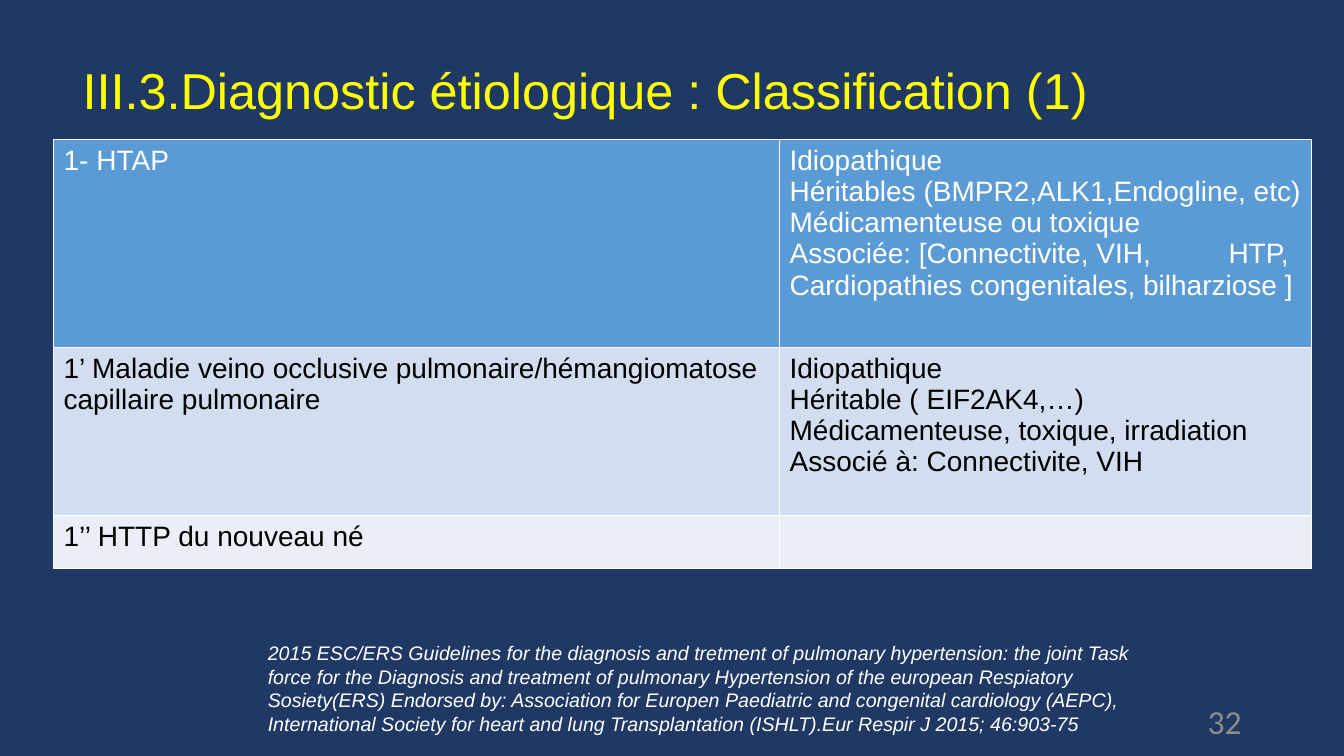
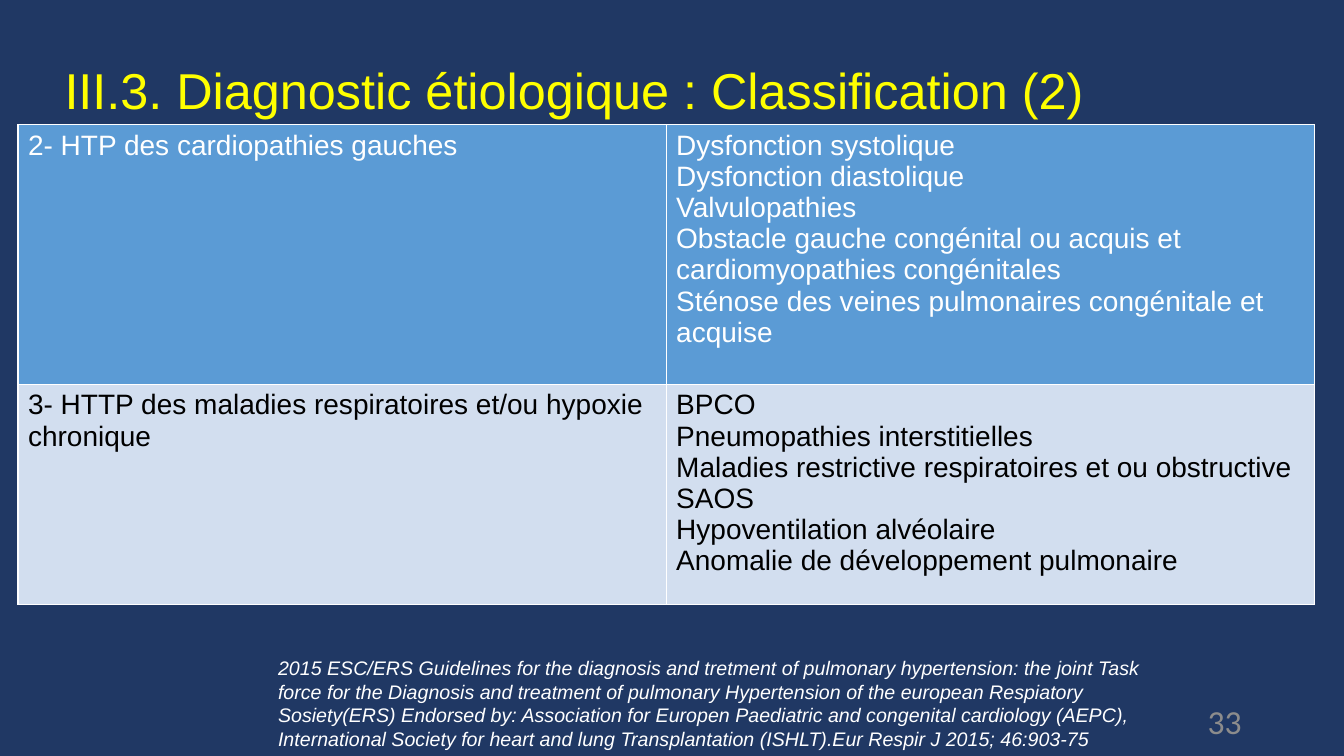
from dataclasses import dataclass

from lxml.etree import SubElement
from pptx import Presentation
from pptx.dml.color import RGBColor
from pptx.enum.text import MSO_ANCHOR, PP_ALIGN
from pptx.oxml.ns import qn
from pptx.util import Pt


@dataclass(frozen=True)
class Theme:
    bg: str = "203864"
    title: str = "FFFF00"
    number: str = "8C8C8C"
    light: str = "FFFFFF"
    dark: str = "000000"
    row_fills: tuple = ("5B9BD5", "D2DEEF", "EAEFF7")
    font: str = "Arial"
    number_font: str = "Calibri"
    title_size: int = 36
    number_size: int = 24
    table_size: int = 20
    reference_size: int = 14
    border: int = 1


THEME = Theme()

REFERENCE = (
    "2015 ESC/ERS Guidelines for the diagnosis and tretment of pulmonary hypertension: "
    "the joint Task force for the Diagnosis and treatment of pulmonary Hypertension of "
    "the european Respiatory Sosiety(ERS) Endorsed by: Association for Europen Paediatric "
    "and congenital cardiology (AEPC), International Society for heart and lung "
    "Transplantation (ISHLT).Eur Respir J 2015; 46:903-75"
)

SLIDES = [
    {
        "title": "III.3.Diagnostic étiologique : Classification (1)",
        "title_left": 52,
        "number": "32",
        "table_at": (38.2, 99.8),
        "cols": (518.6, 380.2),
        "heights": (148.5, 120.2, 37.5),
        "rows": [
            (["1- HTAP"],
             ["Idiopathique",
              "Héritables (BMPR2,ALK1,Endogline, etc)",
              "Médicamenteuse ou toxique",
              "Associée: [Connectivite, VIH,\tHTP, Cardiopathies congenitales, bilharziose ]"]),
            (["1’ Maladie veino occlusive pulmonaire/hémangiomatose capillaire pulmonaire"],
             ["Idiopathique",
              "Héritable ( EIF2AK4,…)",
              "Médicamenteuse, toxique, irradiation",
              "Associé à: Connectivite, VIH"]),
            (["1’’ HTTP du nouveau né"], []),
        ],
        "reference_at": (184.2, 454.4),
    },
    {
        "title": "III.3. Diagnostic étiologique : Classification (2)",
        "title_left": 39,
        "number": "33",
        "table_at": (12.8, 89),
        "cols": (463, 463),
        "heights": (185.6, 157),
        "rows": [
            (["2- HTP des cardiopathies gauches"],
             ["Dysfonction systolique",
              "Dysfonction diastolique",
              "Valvulopathies",
              "Obstacle gauche congénital ou acquis et cardiomyopathies congénitales",
              "Sténose des veines pulmonaires congénitale et acquise"]),
            (["3- HTTP des maladies respiratoires et/ou hypoxie chronique"],
             ["BPCO",
              "Pneumopathies interstitielles",
              "Maladies restrictive respiratoires et ou obstructive",
              "SAOS",
              "Hypoventilation alvéolaire",
              "Anomalie de développement pulmonaire"]),
        ],
        "reference_at": (191.5, 465.1),
    },
]


def write(p, text, *, size, color, font=THEME.font, italic=False,
          align=PP_ALIGN.LEFT, spacing=None, tab=None):
    p.alignment = align
    if spacing:
        p.line_spacing = spacing
    if tab:
        tabs = SubElement(p._p.get_or_add_pPr(), qn("a:tabLst"))
        SubElement(tabs, qn("a:tab"), pos=str(Pt(tab)), algn="l")
    r = p.add_run()
    r.text = text
    r.font.name = font
    r.font.size = Pt(size)
    r.font.bold = False
    r.font.italic = italic
    r.font.color.rgb = RGBColor.from_string(color)


def add_text(s, text, left, top, width, height, anchor=MSO_ANCHOR.TOP, **fmt):
    sp = s.shapes.add_textbox(Pt(left), Pt(top), Pt(width), Pt(height))
    tf = sp.text_frame
    tf.word_wrap = True
    tf.vertical_anchor = anchor
    write(tf.paragraphs[0], text, **fmt)


def set_borders(cell):
    tc_pr = cell._tc.get_or_add_tcPr()
    for side in ("lnL", "lnR", "lnT", "lnB"):
        ln = SubElement(tc_pr, qn(f"a:{side}"), w=str(Pt(THEME.border)))
        fill = SubElement(ln, qn("a:solidFill"))
        SubElement(fill, qn("a:srgbClr"), val=THEME.light)


def fill_cell(cell, lines, fill, color):
    set_borders(cell)
    cell.fill.solid()
    cell.fill.fore_color.rgb = RGBColor.from_string(fill)
    tf = cell.text_frame
    for i, line in enumerate(lines):
        p = tf.add_paragraph() if i else tf.paragraphs[0]
        write(p, line, size=THEME.table_size, color=color,
              tab=313.5 if "\t" in line else None)


def add_classification(s, at, cols, heights, rows):
    left, top = at
    table = s.shapes.add_table(len(rows), len(cols), Pt(left), Pt(top),
                               Pt(sum(cols)), Pt(sum(heights))).table
    for col, width in zip(table.columns, cols):
        col.width = Pt(width)
    for i, (row, height, texts) in enumerate(zip(table.rows, heights, rows)):
        row.height = Pt(height)
        color = THEME.dark if i else THEME.light
        for cell, lines in zip(row.cells, texts):
            fill_cell(cell, lines, THEME.row_fills[i], color)


def add_slide(prs, data):
    s = prs.slides.add_slide(prs.slide_layouts[6])
    s.background.fill.solid()
    s.background.fill.fore_color.rgb = RGBColor.from_string(THEME.bg)
    add_text(s, data["title"], data["title_left"], 21.6, 760, 90, MSO_ANCHOR.MIDDLE,
             size=THEME.title_size, color=THEME.title, spacing=0.9)
    add_classification(s, data["table_at"], data["cols"], data["heights"], data["rows"])
    add_text(s, REFERENCE, *data["reference_at"], 635, 75,
             size=THEME.reference_size, color=THEME.light, italic=True)
    add_text(s, data["number"], 678, 500.5, 216, 28.8, MSO_ANCHOR.MIDDLE,
             size=THEME.number_size, color=THEME.number, font=THEME.number_font,
             align=PP_ALIGN.RIGHT)


def main():
    prs = Presentation()
    prs.slide_width, prs.slide_height = Pt(960), Pt(540)
    for data in SLIDES:
        add_slide(prs, data)
    prs.save("out.pptx")


if __name__ == "__main__":
    main()
